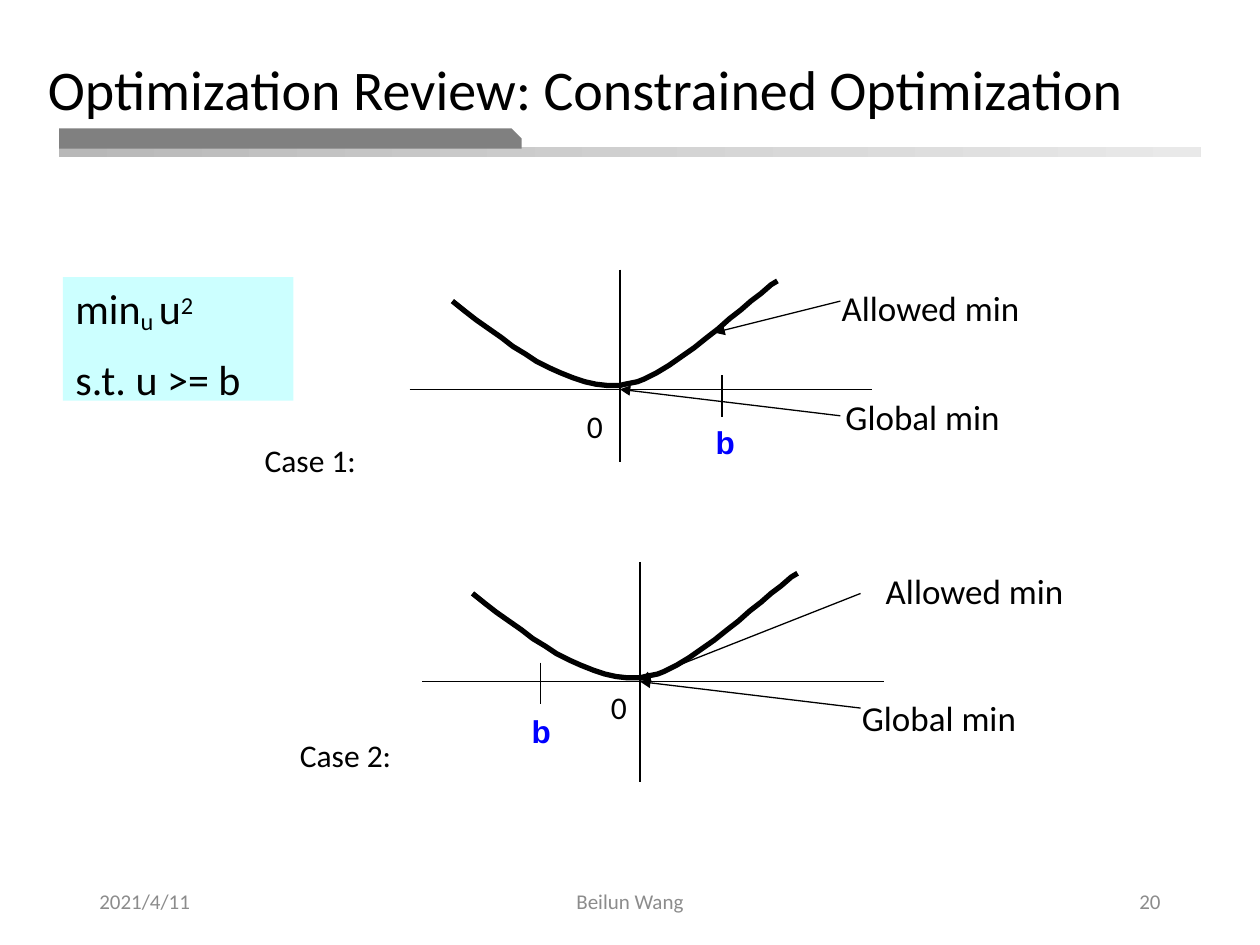
from dataclasses import dataclass

from lxml.etree import SubElement
from pptx import Presentation
from pptx.dml.color import RGBColor
from pptx.enum.shapes import MSO_CONNECTOR, MSO_SHAPE
from pptx.enum.text import MSO_ANCHOR, MSO_AUTO_SIZE, PP_ALIGN
from pptx.oxml.ns import qn
from pptx.util import Inches, Pt

BLACK = RGBColor(0x00, 0x00, 0x00)
BLUE = RGBColor(0x00, 0x00, 0xFF)
GRAY = RGBColor(0x80, 0x80, 0x80)
FOOTER_GRAY = RGBColor(0x8C, 0x8C, 0x8C)
RULE_DARK = RGBColor(0xB8, 0xB8, 0xB8)
RULE_LIGHT = RGBColor(0xE9, 0xE9, 0xE9)
CYAN = RGBColor(0xCC, 0xFF, 0xFF)

Point = tuple[float, float]
Box = tuple[float, float, float, float]

TIGHT = (0.01, 0.01, 0, 0)
DEFAULT = (0.1, 0.05, 0.1, 0.05)

# Parabola relative to the crossing of the axes
CURVE: list[Point] = [
    (-1.33, -0.70), (-1.23, -0.62), (-1.14, -0.55), (-1.04, -0.48), (-0.94, -0.41),
    (-0.85, -0.34), (-0.75, -0.28), (-0.66, -0.22), (-0.56, -0.17), (-0.47, -0.13),
    (-0.37, -0.09), (-0.28, -0.06), (-0.19, -0.04), (-0.10, -0.03), (-0.05, -0.03),
    (0.00, -0.03), (0.04, -0.04), (0.09, -0.05), (0.14, -0.06), (0.19, -0.08),
    (0.29, -0.13), (0.39, -0.19), (0.49, -0.26), (0.59, -0.33), (0.69, -0.41),
    (0.78, -0.48), (0.87, -0.56), (0.96, -0.63), (1.04, -0.70), (1.12, -0.76),
    (1.20, -0.83), (1.25, -0.86),
]


@dataclass
class Case:
    name: str
    name_at: Point
    origin: Point
    x_start: float
    y_end: float
    tick: Point
    b_at: Point
    zero_at: Point
    allowed_min: Point
    allowed_at: Point
    global_at: Point


CASES = [
    Case("Case 1:", (2.09, 3.49), (4.92, 3.09), 3.25, 3.67, (5.73, 2.98), (5.67, 3.35),
         (4.56, 3.18), (5.67, 2.64), (6.67, 2.26), (6.7, 3.13)),
    Case("Case 2:", (2.37, 5.83), (5.08, 5.41), 3.35, 6.21, (4.29, 5.26), (4.21, 5.64),
         (4.75, 5.41), (5.08, 5.4), (7.02, 4.51), (6.83, 5.52)),
]


def set_frame(tf, insets: Box, anchor=MSO_ANCHOR.TOP, wrap: bool = True) -> None:
    sides = ("margin_left", "margin_top", "margin_right", "margin_bottom")
    for side, inset in zip(sides, insets):
        setattr(tf, side, Inches(inset))
    tf.auto_size = MSO_AUTO_SIZE.NONE
    tf.vertical_anchor = anchor
    tf.word_wrap = wrap


def add_run(p, text: str, baseline: int = 0, **font) -> None:
    """Add a run; baseline is a percentage, negative for a subscript."""
    r = p.add_run()
    r.text = text
    color = font.pop("color", BLACK)
    for name, value in ({"name": "Calibri"} | font).items():
        setattr(r.font, name, value)
    r.font.color.rgb = color
    if baseline:
        r.font._element.set("baseline", str(baseline * 1000))


def add_label(s, text: str, box: Box, insets: Box = TIGHT, anchor=MSO_ANCHOR.TOP,
              align=PP_ALIGN.LEFT, wrap: bool = True, **font) -> None:
    tf = s.shapes.add_textbox(*map(Inches, box)).text_frame
    set_frame(tf, insets, anchor, wrap)
    p = tf.paragraphs[0]
    p.alignment = align
    if insets == TIGHT:
        p.space_before = Pt(1)
    add_run(p, text, **font)


def add_line(s, start: Point, end: Point, arrow: bool = False) -> None:
    line = s.shapes.add_connector(MSO_CONNECTOR.STRAIGHT, *map(Inches, start + end))
    line.line.color.rgb = BLACK
    line.line.width = Pt(0.75)
    if arrow:
        SubElement(line.line._get_or_add_ln(), qn("a:tailEnd"), type="triangle")
    SubElement(line._element.spPr, qn("a:effectLst"))


def add_block(s, preset, box: Box):
    sp = s.shapes.add_shape(preset, *map(Inches, box))
    sp.shadow.inherit = False
    sp.line.fill.background()
    return sp


def add_curve(s, origin: Point) -> None:
    points = [(Inches(origin[0] + x), Inches(origin[1] + y)) for x, y in CURVE]
    builder = s.shapes.build_freeform(*points[0])
    builder.add_line_segments(points[1:], close=False)
    sp = builder.convert_to_shape()
    sp.shadow.inherit = False
    sp.fill.background()
    sp.line.color.rgb = BLACK
    sp.line.width = Pt(3)


def add_case(s, case: Case) -> None:
    x, y = case.origin
    add_line(s, (x + 1.75, y + 0.21), case.origin, arrow=True)
    add_line(s, (x + 1.75, y - 0.7), case.allowed_min, arrow=True)
    add_line(s, (x, y - 0.95), (x, case.y_end))
    add_line(s, (case.x_start, y), (case.x_start + 3.67, y))
    add_curve(s, case.origin)
    add_line(s, case.tick, (case.tick[0], case.tick[1] + 0.33))

    add_label(s, case.name, (*case.name_at, 0.75, 0.33), size=Pt(18))
    add_label(s, "Allowed min", (*case.allowed_at, 2.3, 0.35), size=Pt(20))
    add_label(s, "Global min", (*case.global_at, 1.79, 0.35), size=Pt(20))
    add_label(s, "b", (*case.b_at, 0.18, 0.33),
              name="Arial", size=Pt(18), bold=True, color=BLUE)
    add_label(s, "0", (*case.zero_at, 0.33, 0.4), DEFAULT, wrap=False, size=Pt(18))


def add_header(s) -> None:
    rule = add_block(s, MSO_SHAPE.RECTANGLE, (0.47, 1.17, 9.06, 0.08))
    rule.fill.gradient()
    rule.fill.gradient_angle = 0
    for stop, color, position in zip(rule.fill.gradient_stops, (RULE_DARK, RULE_LIGHT), (0, 1)):
        stop.color.rgb = color
        stop.position = position

    tab = add_block(s, MSO_SHAPE.SNIP_1_RECTANGLE, (0.47, 1.02, 3.67, 0.16))
    tab.adjustments[0] = 0.5
    tab.fill.solid()
    tab.fill.fore_color.rgb = GRAY

    title = s.shapes.title
    for name, value in zip(("left", "top", "width", "height"), (0.28, 0.4, 8.85, 0.64)):
        setattr(title, name, Inches(value))
    set_frame(title.text_frame, DEFAULT)
    p = title.text_frame.paragraphs[0]
    p.alignment = PP_ALIGN.LEFT
    p.line_spacing = Pt(37.3)
    p.space_before = Pt(1)
    for text, size in (("Optimization Review: Constrained", 32), (" ", 28), ("Optimization", 32)):
        add_run(p, text, size=Pt(size))


def add_problem(s) -> None:
    """Add the box that states the minimisation problem."""
    box = add_block(s, MSO_SHAPE.RECTANGLE, (0.5, 2.2, 1.83, 0.98))
    box.fill.solid()
    box.fill.fore_color.rgb = CYAN
    tf = box.text_frame
    set_frame(tf, (0.1, 0.04, 0, 0))
    lines = [
        (2.6, [("min", 0), ("u ", -14), ("u", 0), ("2", 23)]),
        (10.3, [("s.t. u >= b", 0)]),
    ]
    for i, (space, runs) in enumerate(lines):
        p = tf.add_paragraph() if i else tf.paragraphs[0]
        p.alignment = PP_ALIGN.LEFT
        p.space_before = Pt(space)
        for text, baseline in runs:
            add_run(p, text, baseline, size=Pt(24))


def add_footer(s) -> None:
    for text, left, width, align in (
        ("2021/4/11", 0.69, 2.25, PP_ALIGN.LEFT),
        ("Beilun Wang", 3.31, 3.38, PP_ALIGN.CENTER),
        ("20", 7.06, 2.25, PP_ALIGN.RIGHT),
    ):
        add_label(s, text, (left, 6.95, width, 0.4), DEFAULT, MSO_ANCHOR.MIDDLE, align,
                  size=Pt(12), color=FOOTER_GRAY)


def main() -> None:
    prs = Presentation()
    prs.slide_width, prs.slide_height = Inches(10), Inches(7.5)
    s = prs.slides.add_slide(prs.slide_layouts[5])
    add_header(s)
    add_footer(s)
    add_problem(s)
    for case in CASES:
        add_case(s, case)
    prs.save("out.pptx")


if __name__ == "__main__":
    main()
